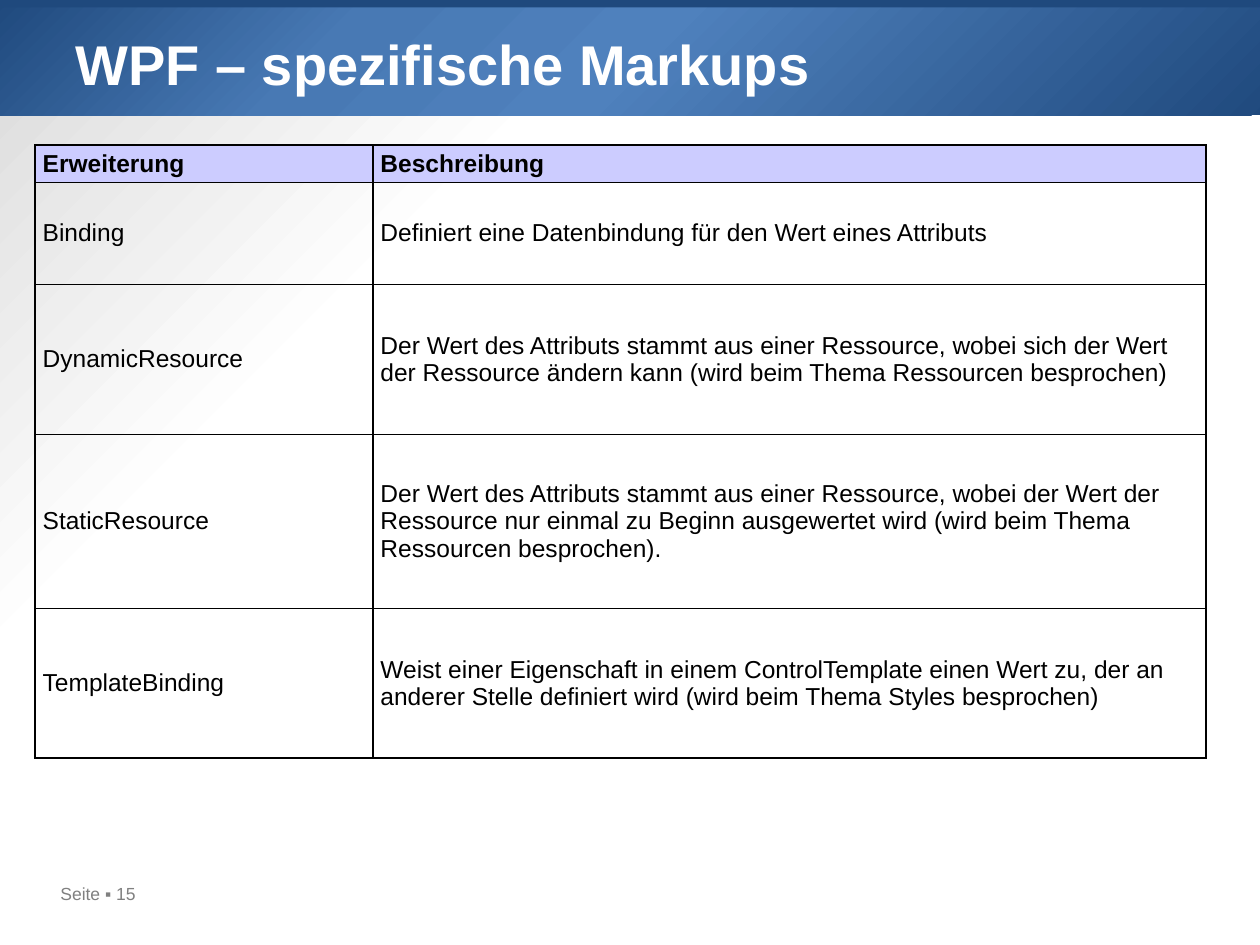
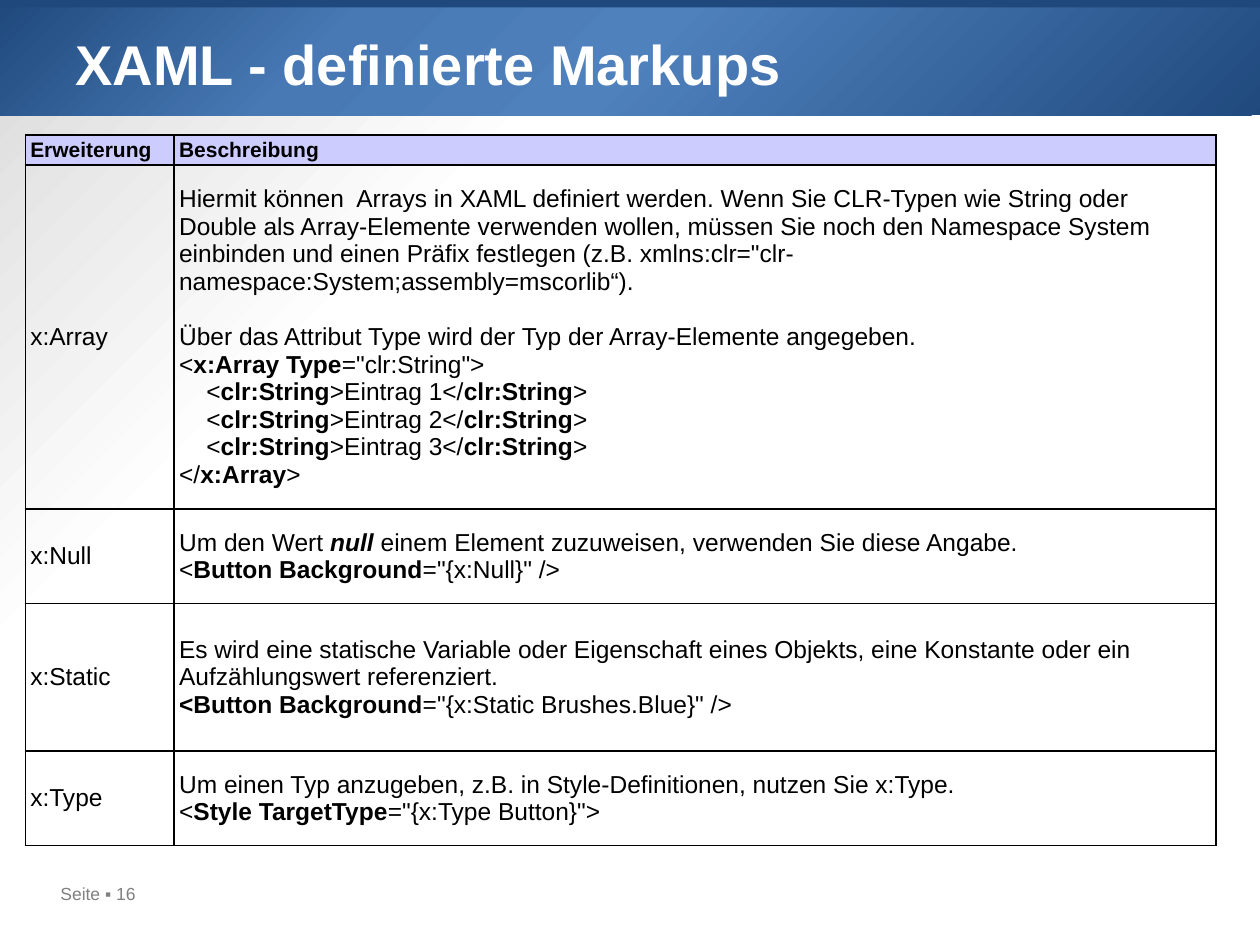
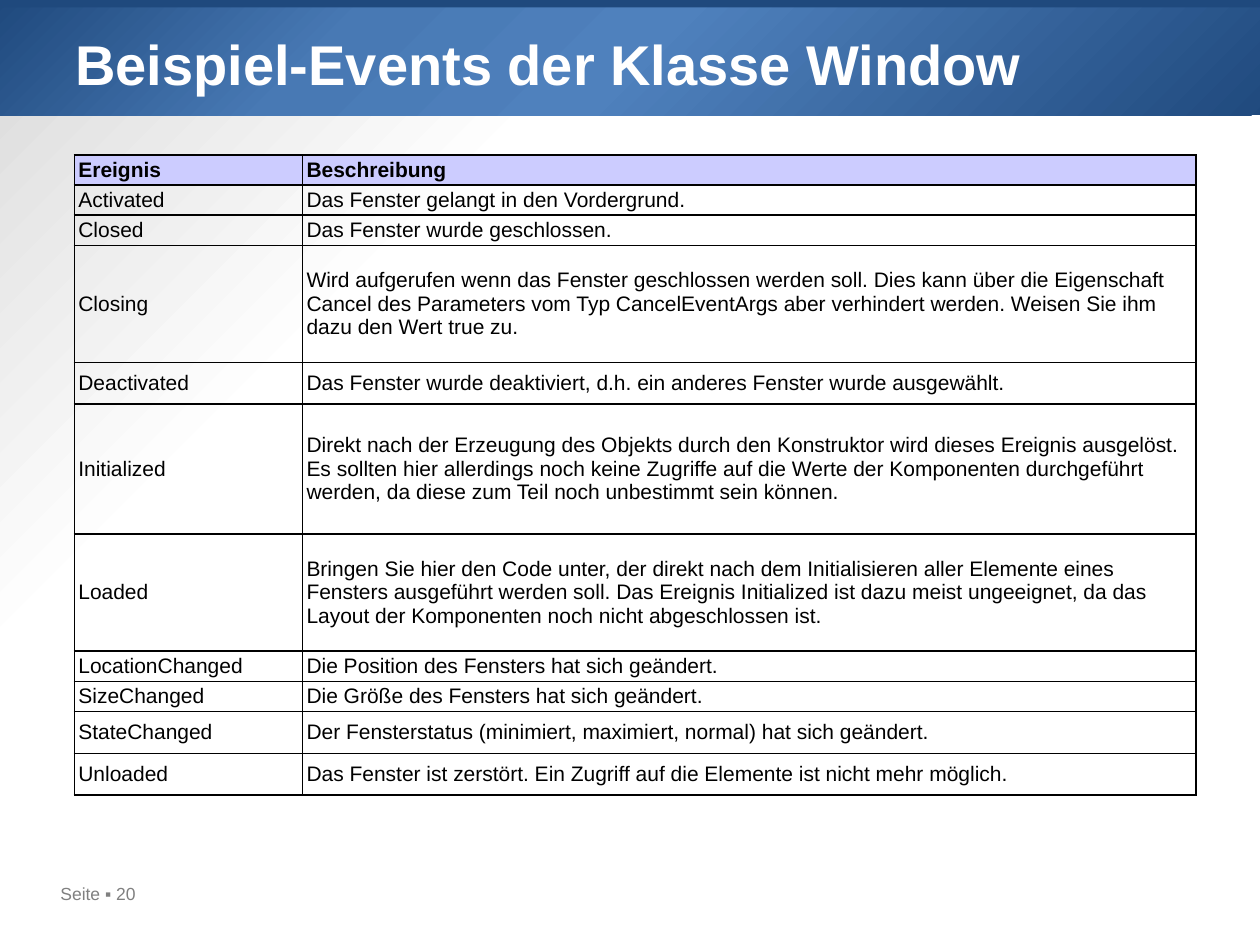
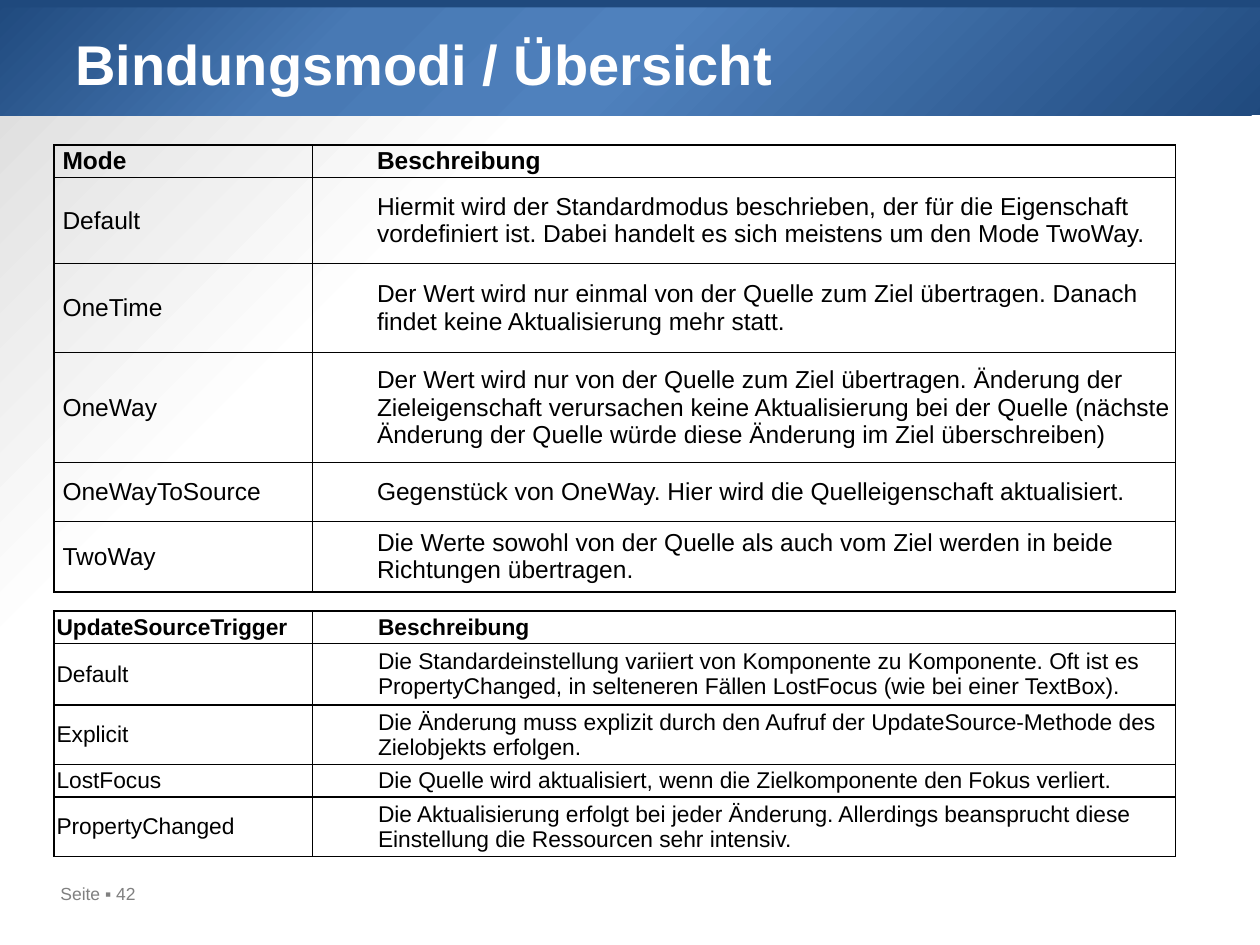
import dataclasses

import lxml.etree
import pptx
import pptx.dml.color
import pptx.enum.shapes
import pptx.enum.text
import pptx.oxml
import pptx.oxml.ns
import pptx.util

Cm, Pt = pptx.util.Cm, pptx.util.Pt
RGBColor = pptx.dml.color.RGBColor
MIDDLE = pptx.enum.text.MSO_ANCHOR.MIDDLE

NAVY = RGBColor(0x1F, 0x49, 0x7D)
STEEL = RGBColor(0x48, 0x79, 0xB4)
BLUE = RGBColor(0x4F, 0x81, 0xBD)
LIGHT_GREY = RGBColor(0xD9, 0xD9, 0xD9)
GREY = RGBColor(0x80, 0x80, 0x80)
LAVENDER = RGBColor(0xCC, 0xCC, 0xFF)
WHITE = RGBColor(0xFF, 0xFF, 0xFF)
BLACK = RGBColor(0, 0, 0)
FONT = "Arial"

BAND = (-0.03, -0.03, 25.7, 2.36)
STRIP = (-0.03, -0.08, 25.7, 0.23)
TITLE = (1.27, 0.36, 22.86, 3.18)
FOOTER = (0.97, 17.68, 3.73, 0.69)


@dataclasses.dataclass
class Line:
    """A paragraph; *...* is bold and */...* is bold italic."""
    text: str
    indent: float = 0
    before: float = 0


@dataclasses.dataclass
class Grid:
    """A table; lengths in centimetres, sizes in points."""
    left: float
    top: float
    columns: tuple
    heights: tuple
    insets: tuple  # left inset of each column
    inset_right: float
    inset_top: float
    rows: list
    size: float
    header_size: float
    header_fill: RGBColor = None


MARKUPS = [
    ("Erweiterung", "Beschreibung"),
    ("Binding", "Definiert eine Datenbindung für den Wert eines Attributs"),
    ("DynamicResource",
     "Der Wert des Attributs stammt aus einer Ressource, wobei sich der Wert der Ressource "
     "ändern kann (wird beim Thema Ressourcen besprochen)"),
    ("StaticResource",
     "Der Wert des Attributs stammt aus einer Ressource, wobei der Wert der Ressource nur "
     "einmal zu Beginn ausgewertet wird (wird beim Thema Ressourcen besprochen)."),
    ("TemplateBinding",
     "Weist einer Eigenschaft in einem ControlTemplate einen Wert zu, der an anderer Stelle "
     "definiert wird (wird beim Thema Styles besprochen)"),
]

ARRAY_ENTRIES = [Line(f"<*clr:String*>Eintrag {number}</*clr:String*>", indent=0.55)
                 for number in (1, 2, 3)]

XAML_MARKUPS = [
    ("Erweiterung", "Beschreibung"),
    ("x:Array", [
        Line("Hiermit können  Arrays in XAML definiert werden. Wenn Sie CLR-Typen wie String "
             "oder Double als Array-Elemente verwenden wollen, müssen Sie noch den Namespace "
             "System einbinden und einen Präfix festlegen (z.B. "
             'xmlns:clr="clr-namespace:System;assembly=mscorlib“).'),
        Line("Über das Attribut Type wird der Typ der Array-Elemente angegeben.", before=16),
        Line('<*x:Array Type*="clr:String">'),
        *ARRAY_ENTRIES,
        Line("</*x:Array*>"),
    ]),
    ("x:Null", [
        Line("Um den Wert */null* einem Element zuzuweisen, verwenden Sie diese Angabe."),
        Line('<*Button Background*="{x:Null}" />'),
    ]),
    ("x:Static", [
        Line("Es wird eine statische Variable oder Eigenschaft eines Objekts, eine Konstante "
             "oder ein Aufzählungswert referenziert."),
        Line('*<Button Background*="{x:Static Brushes.Blue}" />'),
    ]),
    ("x:Type", [
        Line("Um einen Typ anzugeben, z.B. in Style-Definitionen, nutzen Sie x:Type."),
        Line('<*Style TargetType*="{x:Type Button}">'),
    ]),
]

EVENTS = [
    ("Ereignis", "Beschreibung"),
    ("Activated", "Das Fenster gelangt in den Vordergrund."),
    ("Closed", "Das Fenster wurde geschlossen."),
    ("Closing",
     "Wird aufgerufen wenn das Fenster geschlossen werden soll. Dies kann über die Eigenschaft "
     "Cancel des Parameters vom Typ CancelEventArgs aber verhindert werden. Weisen Sie ihm "
     "dazu den Wert true zu."),
    ("Deactivated", "Das Fenster wurde deaktiviert, d.h. ein anderes Fenster wurde ausgewählt."),
    ("Initialized",
     "Direkt nach der Erzeugung des Objekts durch den Konstruktor wird dieses Ereignis "
     "ausgelöst. Es sollten hier allerdings noch keine Zugriffe auf die Werte der Komponenten "
     "durchgeführt werden, da diese zum Teil noch unbestimmt sein können."),
    ("Loaded",
     "Bringen Sie hier den Code unter, der direkt nach dem Initialisieren aller Elemente eines "
     "Fensters ausgeführt werden soll. Das Ereignis Initialized ist dazu meist ungeeignet, da "
     "das Layout der Komponenten noch nicht abgeschlossen ist."),
    ("LocationChanged", "Die Position des Fensters hat sich geändert."),
    ("SizeChanged", "Die Größe des Fensters hat sich geändert."),
    ("StateChanged", "Der Fensterstatus (minimiert, maximiert, normal) hat sich geändert."),
    ("Unloaded", "Das Fenster ist zerstört. Ein Zugriff auf die Elemente ist nicht mehr möglich."),
]

MODES = [
    ("Mode", "Beschreibung"),
    ("Default",
     "Hiermit wird der Standardmodus beschrieben, der für die Eigenschaft vordefiniert ist. "
     "Dabei handelt es sich meistens um den Mode TwoWay."),
    ("OneTime",
     "Der Wert wird nur einmal von der Quelle zum Ziel übertragen. Danach findet keine "
     "Aktualisierung mehr statt."),
    ("OneWay",
     "Der Wert wird nur von der Quelle zum Ziel übertragen. Änderung der Zieleigenschaft "
     "verursachen keine Aktualisierung bei der Quelle (nächste Änderung der Quelle würde "
     "diese Änderung im Ziel überschreiben)"),
    ("OneWayToSource", "Gegenstück von OneWay. Hier wird die Quelleigenschaft aktualisiert."),
    ("TwoWay",
     "Die Werte sowohl von der Quelle als auch vom Ziel werden in beide Richtungen übertragen."),
]

TRIGGERS = [
    ("UpdateSourceTrigger", "Beschreibung"),
    ("Default",
     "Die Standardeinstellung variiert von Komponente zu Komponente. Oft ist es "
     "PropertyChanged, in selteneren Fällen LostFocus (wie bei einer TextBox)."),
    ("Explicit",
     "Die Änderung muss explizit durch den Aufruf der UpdateSource-Methode des Zielobjekts "
     "erfolgen."),
    ("LostFocus", "Die Quelle wird aktualisiert, wenn die Zielkomponente den Fokus verliert."),
    ("PropertyChanged",
     "Die Aktualisierung erfolgt bei jeder Änderung. Allerdings beansprucht diese Einstellung "
     "die Ressourcen sehr intensiv."),
]

PAGES = [
    ("WPF – spezifische Markups", 15, [
        Grid(0.71, 2.92, (6.81, 16.79), (0.71, 2.06, 3.02, 3.51, 3.02),
             (0.15, 0.15), 0.15, 0.08, MARKUPS, 14, 14, LAVENDER)]),
    ("XAML - definierte Markups", 16, [
        Grid(0.51, 2.72, (3, 21), (0.58, 6.93, 1.91, 2.97, 1.91),
             (0.1, 0.1), 0.1, 0.05, XAML_MARKUPS, 14, 12, LAVENDER)]),
    ("Beispiel-Events der Klasse Window", 20, [
        Grid(1.5, 3.12, (4.6, 18.01),
             (0.56, 0.58, 0.58, 2.36, 0.84, 2.62, 2.36, 0.58, 0.58, 0.84, 0.84),
             (0.08, 0.08), 0.08, 0.05, EVENTS, 12, 12, LAVENDER)]),
    ("Bindungsmodi / Übersicht", 42, [
        Grid(1.09, 2.92, (5.21, 17.4), (0.66, 1.73, 1.8, 2.21, 1.19, 1.42),
             (0.17, 1.3), 0.03, 0.03, MODES, 14, 14),
        Grid(1.09, 12.32, (5.21, 17.4), (0.63, 1.24, 1.14, 0.64, 1.14),
             (0.05, 1.32), 0.05, 0.05, TRIGGERS, 13, 13)]),
]


def set_round_gradient(fill, holder, stops, center):
    """Fill with rings around a corner; center is (left, top) in percent."""
    fill.gradient()
    gradient = next(holder.iter(pptx.oxml.ns.qn("a:gradFill")))
    left, top = center
    rings = "".join(f'<a:gs pos="{place * 1000}"><a:srgbClr val="{color}"/></a:gs>'
                    for place, color in stops)
    parts = pptx.oxml.parse_xml(
        f'<a:gradFill {pptx.oxml.ns.nsdecls("a")}><a:gsLst>{rings}</a:gsLst>'
        f'<a:path path="circle"><a:fillToRect l="{left * 1000}" t="{top * 1000}" '
        f'r="{(100 - left) * 1000}" b="{(100 - top) * 1000}"/></a:path></a:gradFill>')
    gradient[:] = list(parts)


def style(span, size, color, bold=False, italic=False):
    span.font.name = FONT
    span.font.size = Pt(size)
    span.font.color.rgb = color
    span.font.bold = bold
    span.font.italic = italic


def add_bar(page, place):
    bar = page.shapes.add_shape(pptx.enum.shapes.MSO_SHAPE.RECTANGLE, *map(Cm, place))
    bar.shadow.inherit = False
    bar.line.fill.background()
    return bar


def add_label(page, place, text, size, color, bold=False):
    box = page.shapes.add_textbox(*map(Cm, place))
    box.text_frame.word_wrap = True
    box.text_frame.text = text
    style(box.text_frame.paragraphs[0].runs[0], size, color, bold)
    return box


def add_frame(page, title, number):
    band = add_bar(page, BAND)
    set_round_gradient(band.fill, band.element,
                       [(0, NAVY), (27, STEEL), (50, BLUE), (100, NAVY)], (0, 0))
    strip = add_bar(page, STRIP)
    strip.fill.solid()
    strip.fill.fore_color.rgb = NAVY
    add_label(page, FOOTER, f"Seite ▪ {number}", 10, GREY)
    heading = add_label(page, TITLE, title, 32, WHITE, bold=True)
    heading.text_frame.margin_top = Cm(0.24)


def draw_borders(cell):
    properties = cell._tc.get_or_add_tcPr()
    for side in ("lnL", "lnR", "lnT", "lnB"):
        properties.append(pptx.oxml.parse_xml(
            f'<a:{side} {pptx.oxml.ns.nsdecls("a")} w="{Pt(1)}"><a:solidFill>'
            f'<a:srgbClr val="{BLACK}"/></a:solidFill></a:{side}>'))


def write_lines(frame, content, size, bold):
    lines = [Line(content)] if isinstance(content, str) else content
    for index, line in enumerate(lines):
        para = frame.add_paragraph() if index else frame.paragraphs[0]
        if line.before:
            para.space_before = Pt(line.before)
        if line.indent:
            para._p.get_or_add_pPr().set("marL", str(Cm(line.indent)))
        for position, piece in enumerate(line.text.split("*")):
            if piece:
                strong = position % 2 == 1
                italic = strong and piece.startswith("/")
                span = para.add_run()
                span.text = piece[1:] if italic else piece
                style(span, size, BLACK, bold or strong, italic)


def add_grid(page, grid):
    table = page.shapes.add_table(
        len(grid.rows), len(grid.columns), Cm(grid.left), Cm(grid.top),
        Cm(sum(grid.columns)), Cm(sum(grid.heights))).table
    table.first_row = table.horz_banding = False
    for column, width in zip(table.columns, grid.columns):
        column.width = Cm(width)
    for index, (row, height) in enumerate(zip(table.rows, grid.heights)):
        row.height = Cm(height)
        header = index == 0
        for cell, content, inset in zip(row.cells, grid.rows[index], grid.insets):
            cell.vertical_anchor = MIDDLE
            cell.margin_left, cell.margin_right = Cm(inset), Cm(grid.inset_right)
            cell.margin_top = cell.margin_bottom = Cm(grid.inset_top)
            draw_borders(cell)
            if header and grid.header_fill:
                cell.fill.solid()
                cell.fill.fore_color.rgb = grid.header_fill
            else:
                cell.fill.background()
            write_lines(cell.text_frame, content,
                        grid.header_size if header else grid.size, header)


def main():
    deck = pptx.Presentation()
    deck.slide_width, deck.slide_height = Cm(25.4), Cm(19.05)
    master = deck.slide_master
    set_round_gradient(master.background.fill, master.element,
                       [(70, WHITE), (100, LIGHT_GREY)], (100, 100))
    for title, number, grids in PAGES:
        page = deck.slides.add_slide(deck.slide_layouts[6])
        add_frame(page, title, number)
        for grid in grids:
            add_grid(page, grid)
    deck.save("out.pptx")


if __name__ == "__main__":
    main()
